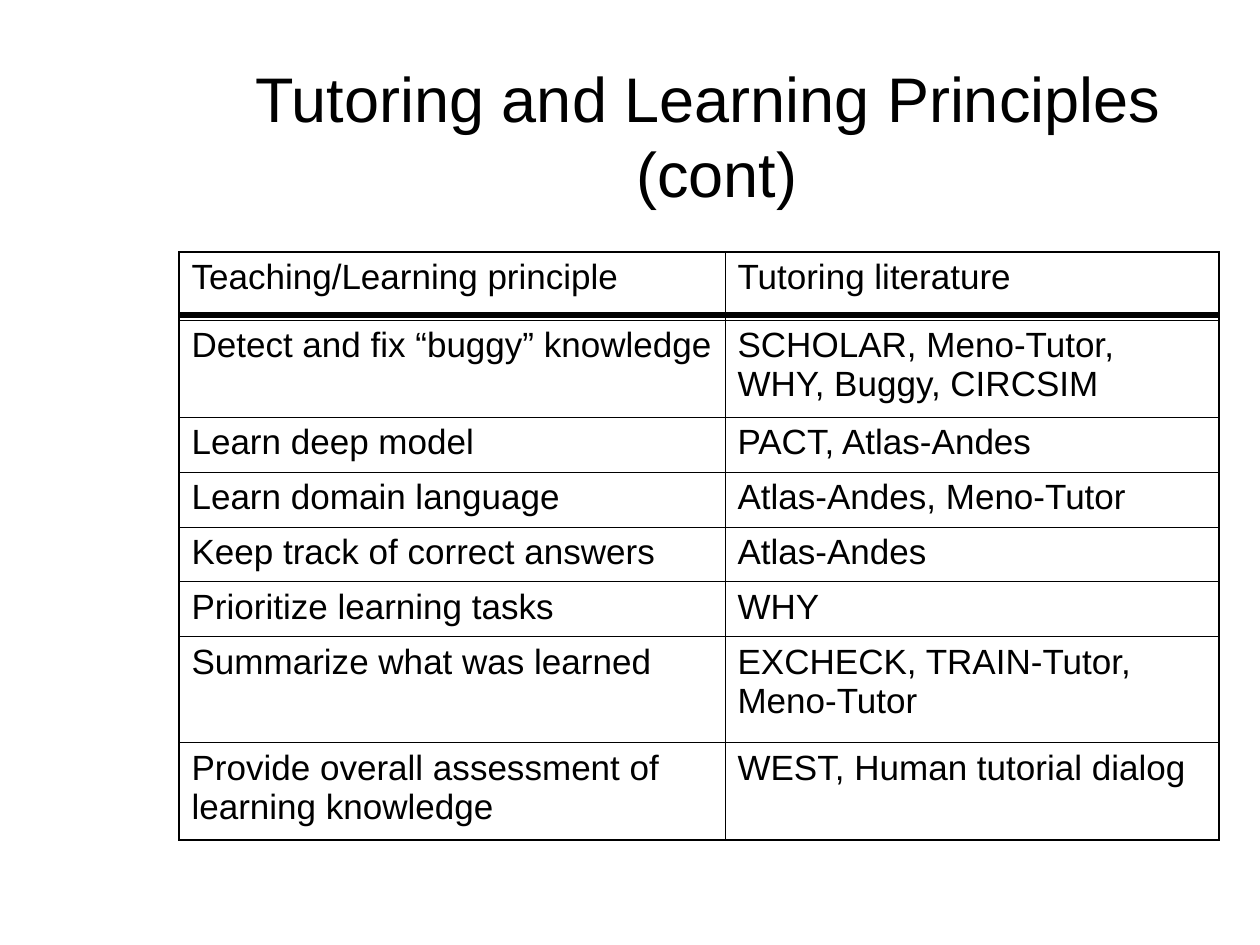
from lxml import etree
from pptx import Presentation
from pptx.dml.color import RGBColor
from pptx.enum.shapes import MSO_CONNECTOR
from pptx.enum.text import MSO_ANCHOR, MSO_AUTO_SIZE, PP_ALIGN
from pptx.oxml.ns import qn
from pptx.util import Emu, Pt

PX = 914400 / 126
BLACK = RGBColor(0, 0, 0)
WHITE = RGBColor(255, 255, 255)
LINE = MSO_CONNECTOR.STRAIGHT
TOP = MSO_ANCHOR.TOP
MID = PP_ALIGN.CENTER
FIXED = MSO_AUTO_SIZE.NONE
THIN, THICK = Pt(0.45), Pt(1.08)

LEFT, HEAD = 179, 252
COLS = [546, 494]
ROWS = [
    (68, "Teaching/Learning principle", "Tutoring literature"),
    (97, "Detect and fix “buggy” knowledge",
     "SCHOLAR, Meno-Tutor, WHY, Buggy, CIRCSIM"),
    (55, "Learn deep model", "PACT, Atlas-Andes"),
    (55, "Learn domain language", "Atlas-Andes, Meno-Tutor"),
    (55, "Keep track of correct answers", "Atlas-Andes"),
    (55, "Prioritize learning tasks", "WHY"),
    (106, "Summarize what was learned", "EXCHECK, TRAIN-Tutor, Meno-Tutor"),
    (97, "Provide overall assessment of learning knowledge",
     "WEST, Human tutorial dialog"),
]


def px(*vals):
    """Turn pixel lengths into EMU."""
    return [Emu(round(v * PX)) for v in vals]


def add_run(para, text, size):
    run = para.add_run()
    run.text = text
    run.font.name = "Arial"
    run.font.size = Pt(size)
    run.font.color.rgb = BLACK


deck = Presentation()
deck.slide_width, deck.slide_height = px(1260, 945)
slide = deck.slides.add_slide(deck.slide_layouts[5])

# Table
wide = sum(COLS)
tall = sum(row[0] for row in ROWS)
table = slide.shapes.add_table(
    len(ROWS), len(COLS), *px(LEFT, HEAD, wide, tall)).table
table.first_row = False
table.horz_banding = False
for col, width in zip(table.columns, px(*COLS)):
    col.width = width

for r, (height, *texts) in enumerate(ROWS):
    table.rows[r].height = px(height)[0]
    for c, text in enumerate(texts):
        cell = table.cell(r, c)
        para = cell.text_frame.paragraphs[0]
        para.space_before = Pt(5)
        add_run(para, text, 20)

        # Outer edges are thicker than inner ones
        outer = {
            "lnL": c == 0,
            "lnR": c == len(COLS) - 1,
            "lnT": r == 0,
            "lnB": r == len(ROWS) - 1,
        }
        props = cell._tc.get_or_add_tcPr()
        for tag, edge in outer.items():
            line = etree.SubElement(props, qn("a:" + tag),
                                    w=str(THICK if edge else THIN))
            fill = etree.SubElement(line, qn("a:solidFill"))
            etree.SubElement(fill, qn("a:srgbClr"), val=str(BLACK))
        cell.fill.solid()
        cell.fill.fore_color.rgb = WHITE

# Title
title = slide.shapes.title
title.left, title.top, title.width, title.height = px(242, 53, 950, 164)
frame = title.text_frame
frame.auto_size = FIXED
frame.word_wrap = False
frame.vertical_anchor = TOP
for i, text in enumerate(["Tutoring and Learning Principles ", "(cont)"]):
    para = frame.add_paragraph() if i else frame.paragraphs[0]
    para.alignment = MID
    para.line_spacing = Pt(43.2)
    add_run(para, text, 36)

# Rule under the header row
rule = slide.shapes.add_connector(LINE, *px(LEFT, 315, LEFT + wide, 315))
rule.line.color.rgb = BLACK
rule.line.width = Pt(3)
etree.SubElement(rule._element.spPr, qn("a:effectLst"))

deck.save("out.pptx")
